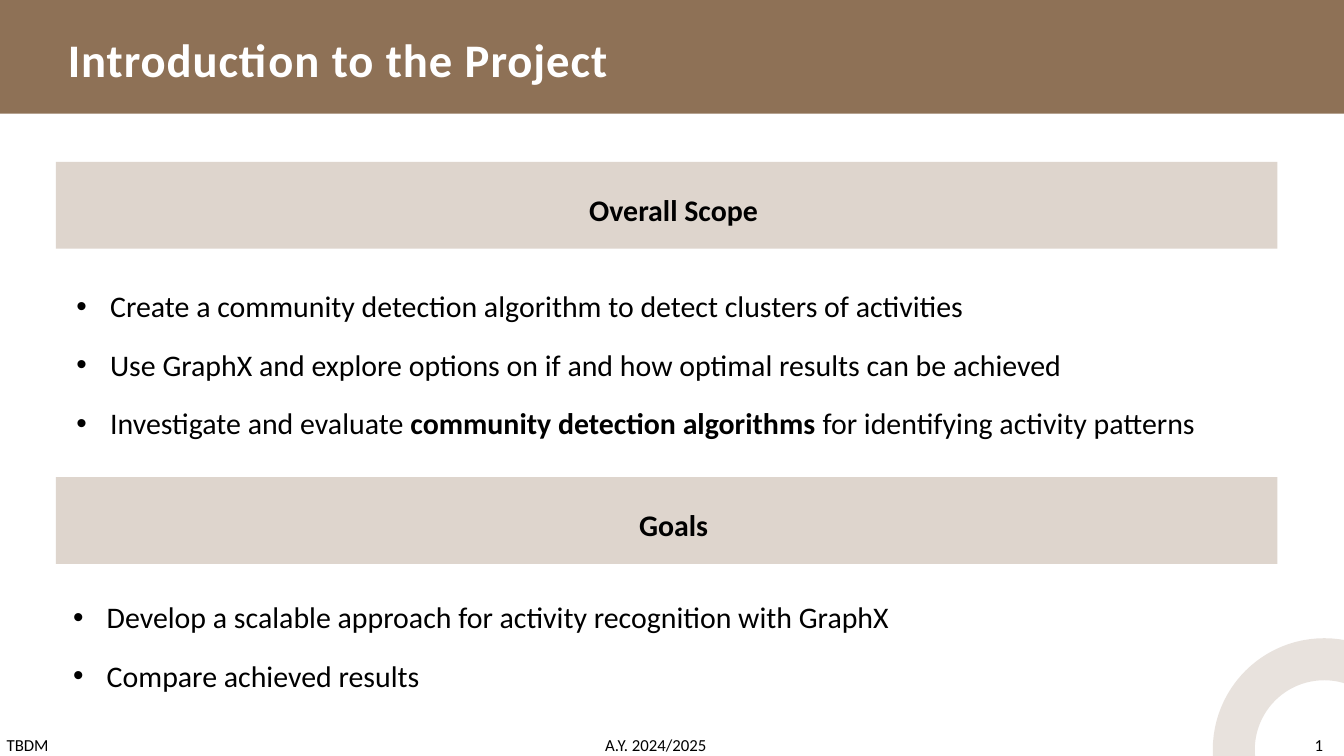
import pptx
import pptx.util
import pptx.dml.color
import pptx.enum.shapes
import pptx.enum.text
import pptx.oxml
import pptx.oxml.ns
from lxml import etree

Inches, Pt = pptx.util.Inches, pptx.util.Pt
Kind = pptx.enum.shapes.MSO_SHAPE
Align = pptx.enum.text.PP_ALIGN

BROWN, BEIGE, WHITE, BLACK = "8E7156", "DED5CD", "FFFFFF", "000000"
WIDE, HIGH = 20, 11.25

TITLE = "Introduction to the Project"
FOOTER = ["TBDM", "A.Y. 2024/2025", "1"]
STOPS = [9.66, 19.53]

# Each item is a list of (words, bold) runs.
SECTIONS = [
    {"head": "Overall Scope", "top": 2.41, "list": (1.04, 3.97, 2.8), "items": [
        [("Create a community detection algorithm to detect clusters of activities", False)],
        [("Use GraphX and explore options on if and how optimal results can be achieved", False)],
        [("Investigate and evaluate ", False), ("community detection algorithms", True),
         (" for identifying activity patterns", False)],
    ]},
    {"head": "Goals", "top": 7.1, "list": (0.99, 8.6, 1.74), "items": [
        [("Develop a scalable approach for activity recognition with GraphX", False)],
        [("Compare achieved results", False)],
    ]},
]


def color(code):
    return pptx.dml.color.RGBColor.from_string(code)


def shape(slide, kind, box, fill=None):
    item = slide.shapes.add_shape(kind, *map(Inches, box))
    item.shadow.inherit = False
    item.line.fill.background()
    if fill:
        item.fill.solid()
        item.fill.fore_color.rgb = color(fill)
    else:
        item.fill.background()
    return item


def frame(slide, box, inset=True):
    body = slide.shapes.add_textbox(*map(Inches, box)).text_frame
    body.word_wrap = True
    if not inset:
        body.margin_left = body.margin_right = 0
        body.margin_top = body.margin_bottom = 0
    return body


def style(para, size, code=BLACK, bold=None):
    font = para.font
    font.name, font.size, font.bold = "Calibri", Pt(size), bold
    font.color.rgb = color(code)
    return font


def child(node, tag, **attrs):
    """Append a DrawingML element with the given attributes."""
    return etree.SubElement(node, pptx.oxml.ns.qn("a:" + tag), attrs)


def bullets(slide, box, items):
    body = frame(slide, box)
    for n, runs in enumerate(items):
        para = body.add_paragraph() if n else body.paragraphs[0]
        para.line_spacing, para.space_before = 1.5, Pt(5)
        props = para._p.get_or_add_pPr()
        props.set("marL", str(Inches(0.5)))
        props.set("indent", str(-Inches(0.5)))
        child(props, "buFont", typeface="Arial")
        child(props, "buChar", char="•")
        style(para, 32)
        for words, bold in runs:
            run = para.add_run()
            run.text = words
            if bold:
                run.font.bold = True


def ring(slide):
    arc = shape(slide, Kind.OVAL, (18.36, 9.81, 2.69, 2.69))
    arc.line.width = Pt(45)
    arc.line.color.rgb = color(BROWN)
    tint = arc.line._ln.find(".//" + pptx.oxml.ns.qn("a:srgbClr"))
    child(tint, "alpha", val="20000")


def footer(slide):
    para = frame(slide, (0, 10.88, WIDE, 0.4)).paragraphs[0]
    para.text = "\t".join(FOOTER)
    tabs = child(para._p.get_or_add_pPr(), "tabLst")
    for stop in STOPS:
        child(tabs, "tab", pos=str(Inches(stop)), algn="ctr")
    style(para, 18)


def header(slide):
    shape(slide, Kind.RECTANGLE, (0, 0, WIDE, 1.69), BROWN)
    para = frame(slide, (1.01, 0.32, 15.58, 0.95), inset=False).paragraphs[0]
    para.text, para.line_spacing = TITLE, Pt(70)
    font = style(para, 50, WHITE, True)
    font._element.set("spc", "100")


def section(slide, part):
    top = part["top"]
    shape(slide, Kind.RECTANGLE, (0.83, top, 18.18, 1.29), BEIGE)
    para = frame(slide, (1.27, top + 0.39, 17.51, 0.64)).paragraphs[0]
    para.text, para.alignment = part["head"], Align.CENTER
    style(para, 32, bold=True)
    left, start, tall = part["list"]
    bullets(slide, (left, start, 18.1, tall), part["items"])


def main():
    deck = pptx.Presentation()
    deck.slide_width, deck.slide_height = Inches(WIDE), Inches(HIGH)
    slide = deck.slides.add_slide(deck.slide_layouts[6])
    ring(slide)
    footer(slide)
    header(slide)
    for part in SECTIONS:
        section(slide, part)
    deck.save("out.pptx")


if __name__ == "__main__":
    main()
